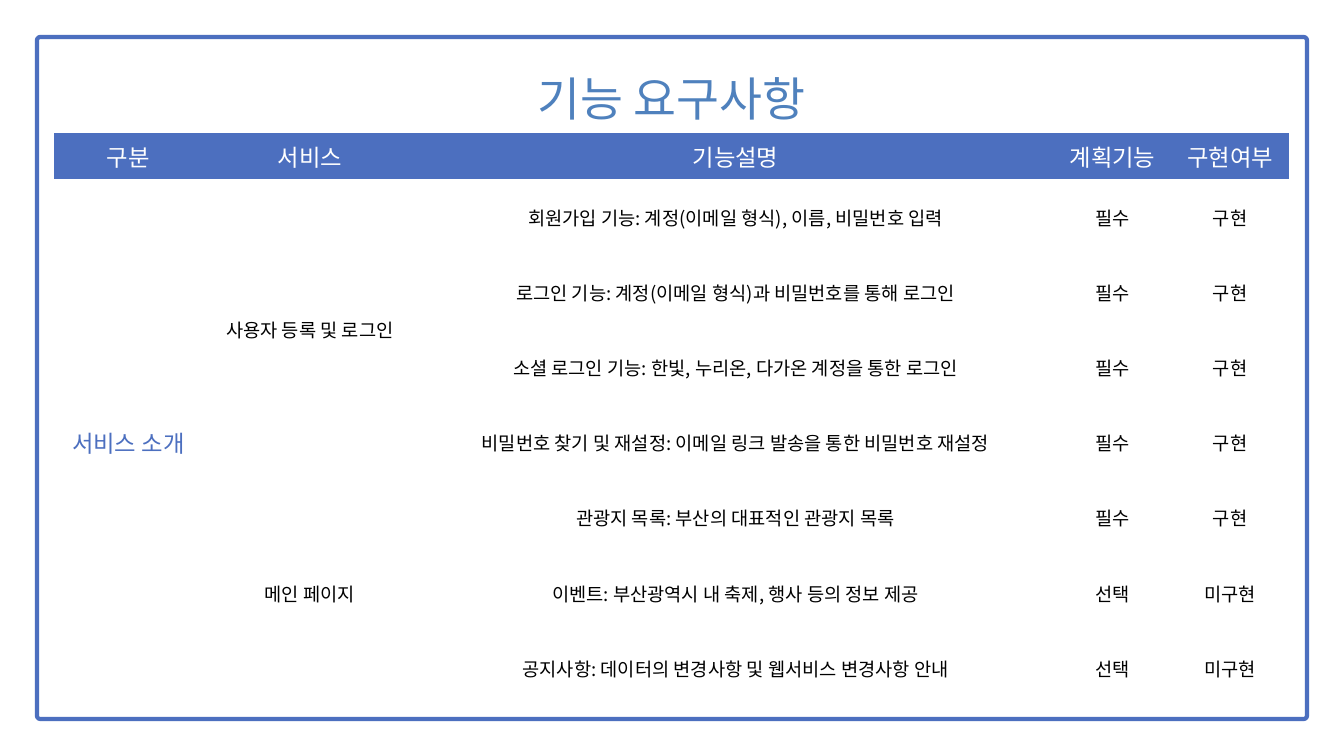
from lxml import etree
from pptx import Presentation
from pptx.dml.color import RGBColor
from pptx.enum import shapes, text
from pptx.oxml import ns
from pptx.util import Inches, Pt

COLORS = {"blue": "4C6FBF", "title": "4F81BD", "black": "000000", "white": "FFFFFF"}
KOREAN_FONT = "Noto Sans CJK KR"
NO_GRID_STYLE = "{2D5ABB26-0587-4C30-8999-92F81FD0307C}"

TITLE = "기능 요구사항"
HEADERS = ["구분", "서비스", "기능설명", "계획기능", "구현여부"]
CATEGORY = "서비스 소개"
SERVICES = [
    ("사용자 등록 및 로그인", [
        ("회원가입 기능: 계정(이메일 형식), 이름, 비밀번호 입력", "필수", "구현"),
        ("로그인 기능: 계정(이메일 형식)과 비밀번호를 통해 로그인", "필수", "구현"),
        ("소셜 로그인 기능: 한빛, 누리온, 다가온 계정을 통한 로그인", "필수", "구현"),
        ("비밀번호 찾기 및 재설정: 이메일 링크 발송을 통한 비밀번호 재설정", "필수", "구현"),
    ]),
    ("메인 페이지", [
        ("관광지 목록: 부산의 대표적인 관광지 목록", "필수", "구현"),
        ("이벤트: 부산광역시 내 축제, 행사 등의 정보 제공", "선택", "미구현"),
        ("공지사항: 데이터의 변경사항 및 웹서비스 변경사항 안내", "선택", "미구현"),
    ]),
]
COLUMN_WIDTHS = [2.2, 3.2, 9.47, 1.75, 1.75]
FEATURE_COUNT = sum(len(features) for _, features in SERVICES)
ROW_HEIGHTS = [1.05, 0.69] + [1.12] * FEATURE_COUNT


def color(name):
    return RGBColor.from_string(COLORS[name])


def add_frame(slide):
    frame = slide.shapes.add_shape(shapes.MSO_SHAPE.ROUNDED_RECTANGLE,
                                   Inches(0.55), Inches(0.55), Inches(18.9), Inches(10.15))
    frame.adjustments[0] = 0.005
    frame.shadow.inherit = False
    frame.fill.solid()
    frame.fill.fore_color.rgb = color("white")
    frame.line.color.rgb = color("blue")
    frame.line.width = Pt(4.5)


def add_table(slide):
    graphic_frame = slide.shapes.add_table(
        len(ROW_HEIGHTS), len(COLUMN_WIDTHS), Inches(0.81), Inches(0.87),
        Inches(sum(COLUMN_WIDTHS)), Inches(sum(ROW_HEIGHTS)))
    table = graphic_frame.table
    table.first_row = False
    table.horz_banding = False
    table._tbl.tblPr.find(ns.qn("a:tableStyleId")).text = NO_GRID_STYLE
    for column, width in zip(table.columns, COLUMN_WIDTHS):
        column.width = Inches(width)
    for row, height in zip(table.rows, ROW_HEIGHTS):
        row.height = Inches(height)
    for cell in table.iter_cells():
        cell.fill.background()
    return table


def write_cell(cell, content, size=20, color_name="black", font_name=KOREAN_FONT):
    cell.vertical_anchor = text.MSO_ANCHOR.MIDDLE
    cell.text_frame.text = content
    paragraph = cell.text_frame.paragraphs[0]
    paragraph.alignment = text.PP_ALIGN.CENTER
    run = paragraph.runs[0]
    run.font.size = Pt(size)
    run.font.name = font_name
    run.font.color.rgb = color(color_name)
    east_asian = etree.SubElement(run.font._element, ns.qn("a:ea"))
    east_asian.set("typeface", KOREAN_FONT)


def fill_table(table):
    last_row, last_column = len(ROW_HEIGHTS) - 1, len(COLUMN_WIDTHS) - 1
    table.cell(0, 0).merge(table.cell(0, last_column))
    write_cell(table.cell(0, 0), TITLE, 50, "title")

    for column, header in enumerate(HEADERS):
        cell = table.cell(1, column)
        cell.fill.solid()
        cell.fill.fore_color.rgb = color("blue")
        font_name = "Arial" if column == last_column else KOREAN_FONT
        write_cell(cell, header, 25, "white", font_name)

    table.cell(2, 0).merge(table.cell(last_row, 0))
    write_cell(table.cell(2, 0), CATEGORY, 25, "blue")

    row = 2
    for service, features in SERVICES:
        table.cell(row, 1).merge(table.cell(row + len(features) - 1, 1))
        write_cell(table.cell(row, 1), service)
        for feature in features:
            for column, content in enumerate(feature, start=2):
                write_cell(table.cell(row, column), content)
            row += 1


def main():
    presentation = Presentation()
    presentation.slide_width = Inches(20)
    presentation.slide_height = Inches(11.25)
    slide = presentation.slides.add_slide(presentation.slide_layouts[6])
    add_frame(slide)
    fill_table(add_table(slide))
    presentation.save("out.pptx")


if __name__ == "__main__":
    main()
